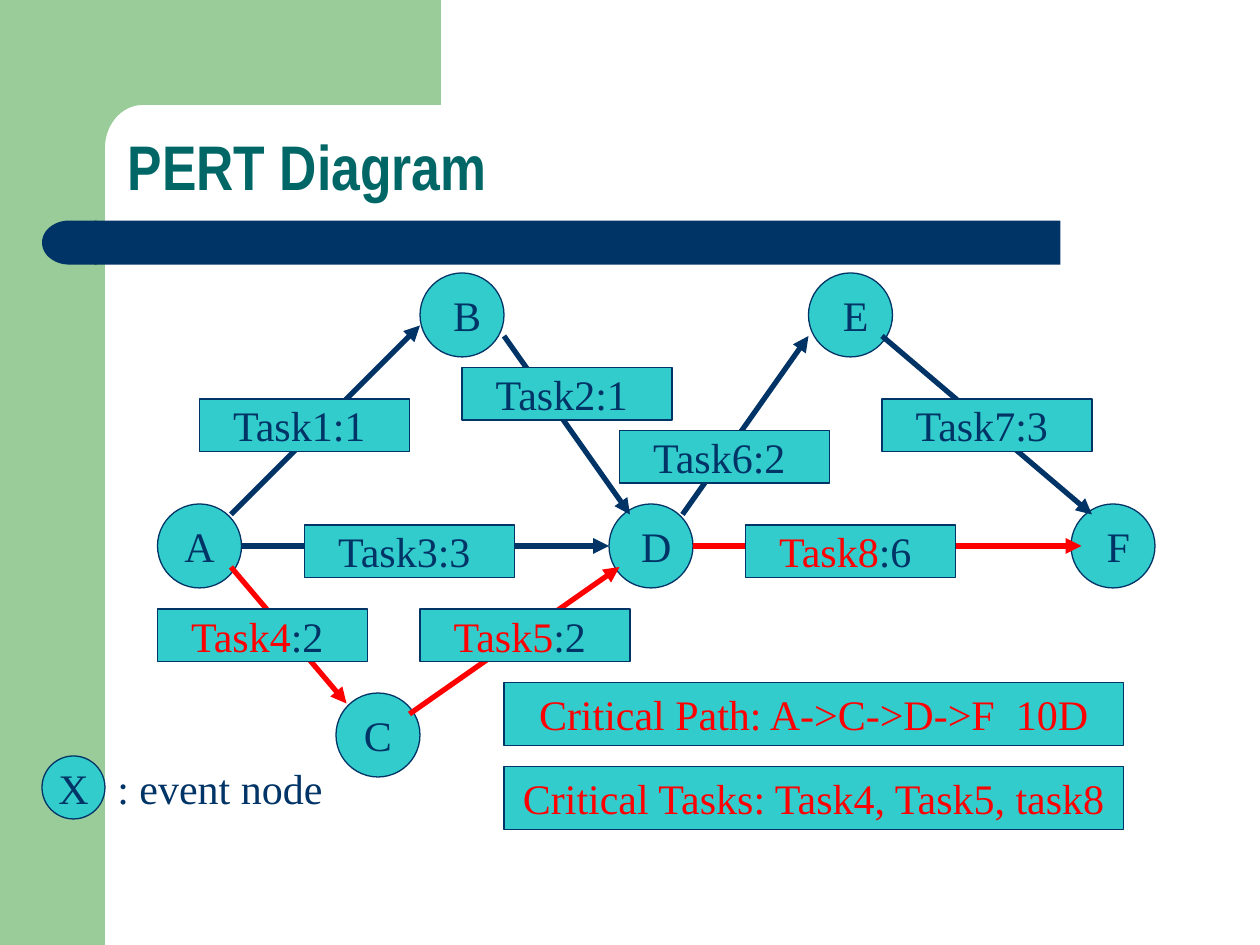
import dataclasses
import math

import lxml.etree
import pptx
import pptx.dml.color
import pptx.enum.shapes
import pptx.enum.text
import pptx.oxml.ns
import pptx.util

SHAPE = pptx.enum.shapes.MSO_SHAPE
ALIGN = pptx.enum.text.PP_ALIGN
ANCHOR = pptx.enum.text.MSO_ANCHOR
PX_PER_INCH = 120


@dataclasses.dataclass(frozen=True)
class Theme:
    green: str = "99CC99"
    navy: str = "003366"
    teal: str = "33CCCC"
    title: str = "006666"
    critical: str = "FF0000"
    body_font: str = "Times New Roman"
    title_font: str = "Arial Narrow"
    body_size: int = 24
    title_size: int = 36
    outline: float = 0.75
    arrow: int = 3


THEME = Theme()
NODE = 80
TASK_W, TASK_H = 200, 50

NODES = [
    ("A", 150, 480),
    ("C", 320, 660),
    (" B", 400, 260),
    (" E", 770, 260),
    (" D", 580, 480),
    (" F", 1020, 480),
]
ARROWS = [
    (230, 520, 580, 520, THEME.navy),
    (660, 520, 1030, 520, THEME.critical),
    (480, 320, 600, 490, THEME.navy),
    (220, 490, 400, 310, THEME.navy),
    (220, 540, 330, 670, THEME.critical),
    (390, 680, 590, 540, THEME.critical),
    (650, 490, 770, 320, THEME.navy),
    (840, 320, 1040, 490, THEME.navy),
]
TASKS = [
    ("Task1", ":1 ", 190, 380, THEME.navy),
    ("Task3", ":3 ", 290, 500, THEME.navy),
    ("Task6", ":2 ", 590, 410, THEME.navy),
    ("Task8", ":6 ", 710, 500, THEME.critical),
    ("Task2", ":1 ", 440, 350, THEME.navy),
    ("Task5", ":2 ", 400, 580, THEME.critical),
    ("Task4", ":2 ", 150, 580, THEME.critical),
    ("Task7", ":3 ", 840, 380, THEME.navy),
]
SUMMARIES = ["Critical Path: A->C->D->F  10D", "Critical Tasks: Task4, Task5, task8"]


def px(n):
    return pptx.util.Emu(round(n * 914400 / PX_PER_INCH))


def rgb(color):
    return pptx.dml.color.RGBColor.from_string(color)


def write_text(s, runs, *, font=THEME.body_font, size=THEME.body_size, bold=False,
               align=ALIGN.LEFT, anchor=ANCHOR.TOP, wrap=True, spacing=None):
    tf = s.text_frame
    tf.word_wrap = wrap
    tf.vertical_anchor = anchor
    p = tf.paragraphs[0]
    p.alignment = align
    p.line_spacing = spacing
    for text, color in runs:
        r = p.add_run()
        r.text = text
        r.font.name = font
        r.font.size = pptx.util.Pt(size)
        r.font.bold = bold
        r.font.color.rgb = rgb(color)


def paint(s, fill, line=None):
    s.shadow.inherit = False
    s.fill.solid()
    s.fill.fore_color.rgb = rgb(fill)
    if line:
        s.line.color.rgb = rgb(line)
        s.line.width = pptx.util.Pt(THEME.outline)
    else:
        s.line.fill.background()


def add_block(slide, kind, box, fill, line=None):
    s = slide.shapes.add_shape(kind, *map(px, box))
    paint(s, fill, line)
    return s


def add_label(slide, kind, box, runs):
    s = add_block(slide, kind, box, THEME.teal, THEME.navy)
    write_text(s, runs, align=ALIGN.CENTER, anchor=ANCHOR.MIDDLE, wrap=False)


def add_text(slide, box, text, color, **style):
    s = slide.shapes.add_textbox(*map(px, box))
    write_text(s, [(text, color)], **style)


def add_arrow(slide, x1, y1, x2, y2, color):
    s = slide.shapes.add_connector(
        pptx.enum.shapes.MSO_CONNECTOR.STRAIGHT, px(x1), px(y1), px(x2), px(y2))
    s.line.color.rgb = rgb(color)
    s.line.width = pptx.util.Pt(THEME.arrow)
    qn = pptx.oxml.ns.qn
    lxml.etree.SubElement(s.line._get_or_add_ln(), qn("a:tailEnd"), type="triangle")
    lxml.etree.SubElement(s._element.spPr, qn("a:effectLst"))


def add_corner(slide):
    angles = [math.radians(a) for a in range(0, 91, 6)]
    curve = [(136 - 36 * math.sin(a), 141 - 41 * math.cos(a)) for a in angles]
    points = [(420, 0), (420, 100), *curve, (100, 154), (60, 154), (60, 0)]
    points = [(px(x), px(y)) for x, y in points]
    builder = slide.shapes.build_freeform(*points[0])
    builder.add_line_segments(points[1:], close=True)
    paint(builder.convert_to_shape(), THEME.green)


def add_backdrop(slide):
    add_block(slide, SHAPE.RECTANGLE, (0, 0, 100, 900), THEME.green)
    add_corner(slide)
    add_block(slide, SHAPE.RECTANGLE, (90, 210, 920, 42), THEME.navy)
    cap = add_block(slide, SHAPE.FLOWCHART_DELAY, (40, 210, 52, 42), THEME.navy)
    cap.rotation = 180


def main():
    prs = pptx.Presentation()
    prs.slide_width, prs.slide_height = px(1200), px(900)
    slide = prs.slides.add_slide(prs.slide_layouts[6])

    add_backdrop(slide)
    for name, x, y in NODES:
        add_label(slide, SHAPE.OVAL, (x, y, NODE, NODE), [(name, THEME.navy)])
    for arrow in ARROWS:
        add_arrow(slide, *arrow)
    for name, days, x, y, color in TASKS:
        add_label(slide, SHAPE.RECTANGLE, (x, y, TASK_W, TASK_H),
                  [(name, color), (days, THEME.navy)])
    for i, text in enumerate(SUMMARIES):
        add_label(slide, SHAPE.RECTANGLE, (480, 650 + 80 * i, 590, 60),
                  [(text, THEME.critical)])
    add_label(slide, SHAPE.OVAL, (40, 720, 60, 60), [("X", THEME.navy)])
    add_text(slide, (100, 720, 230, 60), ": event node", THEME.navy)
    add_text(slide, (110, 100, 920, 100), "PERT Diagram", THEME.title,
             font=THEME.title_font, size=THEME.title_size, bold=True,
             anchor=ANCHOR.BOTTOM, spacing=0.9)

    prs.save("out.pptx")


if __name__ == "__main__":
    main()
